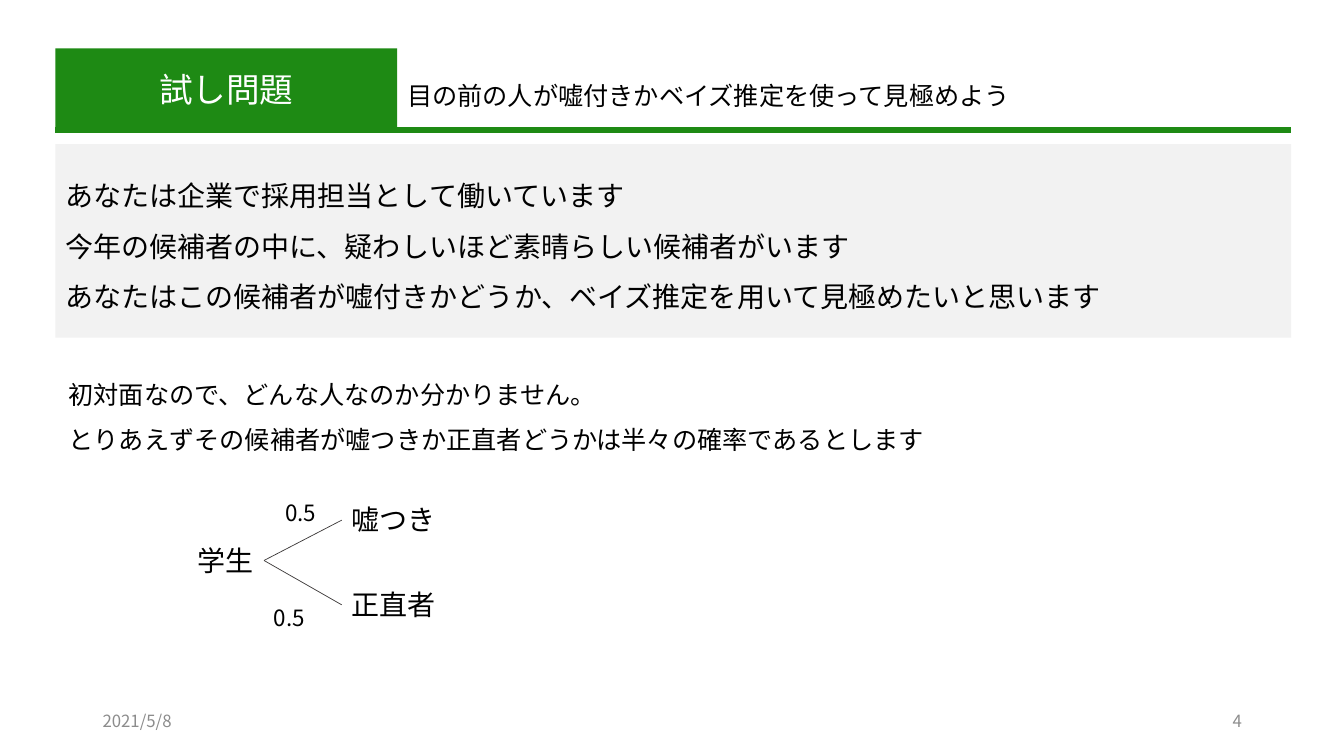
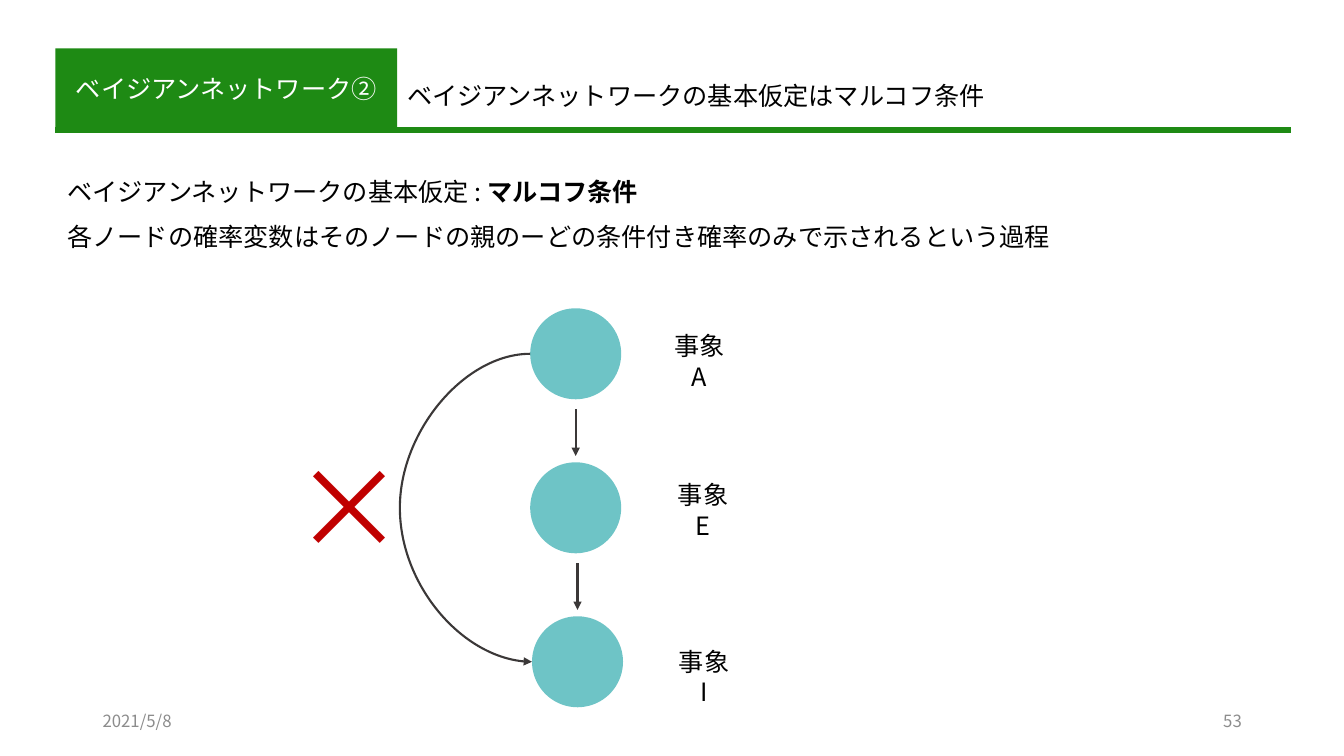
from lxml import etree
from pptx import Presentation
from pptx.dml.color import RGBColor
from pptx.enum.shapes import MSO_CONNECTOR, MSO_SHAPE
from pptx.enum.text import MSO_ANCHOR, MSO_AUTO_SIZE, PP_ALIGN
from pptx.oxml.ns import qn
from pptx.util import Pt

STRAIGHT, CURVE = MSO_CONNECTOR.STRAIGHT, MSO_CONNECTOR.CURVE
RECT, OVAL = MSO_SHAPE.RECTANGLE, MSO_SHAPE.OVAL
TOP, MIDDLE = MSO_ANCHOR.TOP, MSO_ANCHOR.MIDDLE
LEFT, CENTER, RIGHT = PP_ALIGN.LEFT, PP_ALIGN.CENTER, PP_ALIGN.RIGHT
NO_FIT = MSO_AUTO_SIZE.NONE
SIDE_LEFT, SIDE_RIGHT = 1, 3

FONT = "Noto Sans CJK JP"
GREEN = RGBColor(0x1E, 0x8A, 0x14)
PALE = RGBColor(0xF2, 0xF2, 0xF2)
TEAL = RGBColor(0x00, 0x98, 0x9C)
RED = RGBColor(0xC0, 0x00, 0x00)
DARK = RGBColor(0x3B, 0x38, 0x38)
GRAY = RGBColor(0x8C, 0x8C, 0x8C)
BLACK = RGBColor(0, 0, 0)
WHITE = RGBColor(0xFF, 0xFF, 0xFF)

MARGIN, CONTENT_W = 39.6, 882.7

# Content
DATE = "2021/5/8"
QUIZ = {"title": "試し問題", "title_size": 24, "number": "4",
        "subtitle": "目の前の人が嘘付きかベイズ推定を使って見極めよう"}
NETWORK = {"title": "ベイジアンネットワーク②", "title_size": 18, "number": "53",
           "subtitle": "ベイジアンネットワークの基本仮定はマルコフ条件"}
SITUATION = ["あなたは企業で採用担当として働いています",
             "今年の候補者の中に、疑わしいほど素晴らしい候補者がいます",
             "あなたはこの候補者が嘘付きかどうか、ベイズ推定を用いて見極めたいと思います"]
PRIOR = ["初対面なので、どんな人なのか分かりません。",
         "とりあえずその候補者が嘘つきか正直者どうかは半々の確率であるとします"]
ROOT = "学生"
# outcome, top, probability, probability left and top
BRANCHES = [("嘘つき", 355.7, "0.5", 196.6, 352.8),
            ("正直者", 416.2, "0.5", 188.6, 427.7)]
# A line given as a tuple has its second part in bold
ASSUMPTION = [("ベイジアンネットワークの基本仮定 : ", "マルコフ条件"),
              "各ノードの確率変数はそのノードの親のーどの条件付き確率のみで示されるという過程"]
# name, node left, label centre, label top
EVENTS = [("A", 378.7, 499.7, 232.6),
          ("E", 378.7, 502.2, 339.1),
          ("I", 380, 502.9, 457.9)]


def write(tf, lines, size, color=BLACK, align=LEFT, spacing=1.0,
          anchor=TOP, wrap=True):
    tf.word_wrap = wrap
    tf.auto_size = NO_FIT
    tf.vertical_anchor = anchor
    for i, line in enumerate(lines):
        p = tf.add_paragraph() if i else tf.paragraphs[0]
        if isinstance(line, tuple):
            for part, bold in zip(line, (False, True)):
                r = p.add_run()
                r.text = part
                r.font.bold = bold
        else:
            p.text = line
        p.alignment = align
        p.line_spacing = spacing
        p.font.size = Pt(size)
        p.font.name = FONT
        p.font.color.rgb = color
        ea = etree.Element(qn("a:ea"), typeface=FONT)
        p._p.find(".//" + qn("a:latin")).addnext(ea)


def add_text(s, x, y, w, h, lines, size, **style):
    sp = s.shapes.add_textbox(Pt(x), Pt(y), Pt(w), Pt(h))
    write(sp.text_frame, lines, size, **style)
    return sp


def add_shape(s, kind, x, y, w, h, color):
    sp = s.shapes.add_shape(kind, Pt(x), Pt(y), Pt(w), Pt(h))
    sp.shadow.inherit = False
    sp.fill.solid()
    sp.fill.fore_color.rgb = color
    sp.line.fill.background()
    return sp


def add_line(s, x1, y1, x2, y2, color, width, kind=STRAIGHT, arrow=False):
    line = s.shapes.add_connector(kind, Pt(x1), Pt(y1), Pt(x2), Pt(y2))
    line.line.color.rgb = color
    line.line.width = Pt(width)
    if arrow:
        ln = line._element.spPr.find(qn("a:ln"))
        etree.SubElement(ln, qn("a:tailEnd"), type="triangle")
    etree.SubElement(line._element.spPr, qn("a:effectLst"))
    return line


def add_slide(prs, head):
    """Slide with the green title band, subtitle, rule and footer."""
    s = prs.slides.add_slide(prs.slide_layouts[5])
    title = s.shapes.title
    title.left, title.top = Pt(MARGIN), Pt(34.6)
    title.width, title.height = Pt(244.1), Pt(57.6)
    title.fill.solid()
    title.fill.fore_color.rgb = GREEN
    write(title.text_frame, [head["title"]], head["title_size"], color=WHITE,
          align=CENTER, anchor=MIDDLE)
    add_line(s, MARGIN, 92.9, MARGIN + CONTENT_W, 92.9, GREEN, 4.5)
    add_text(s, 283.7, 54, 600, 29, [head["subtitle"]], 18)
    for x, text, align in ((66.2, DATE, LEFT), (678.2, head["number"], RIGHT)):
        add_text(s, x, 500.4, 216, 28.8, [text], 12, color=GRAY, align=align,
                 anchor=MIDDLE)
    return s


def build_quiz(prs):
    s = add_slide(prs, QUIZ)
    add_shape(s, RECT, MARGIN, 103, CONTENT_W, 138.2, PALE)
    add_text(s, MARGIN, 112.3, CONTENT_W, 111.6, SITUATION, 20, spacing=1.5)
    add_text(s, 41.8, 256.3, 800, 68.4, PRIOR, 18, spacing=1.5)

    # Probability tree
    root = add_text(s, 133.9, 384.5, 54.7, 31.7, [ROOT], 20, wrap=False)
    for outcome, y, chance, chance_x, chance_y in BRANCHES:
        leaf = add_text(s, 244.1, y, 74.9, 31.7, [outcome], 20, wrap=False)
        branch = add_line(s, 188.6, 400, 244.1, y, DARK, 0.5)
        branch.begin_connect(root, SIDE_RIGHT)
        branch.end_connect(leaf, SIDE_LEFT)
        add_text(s, chance_x, chance_y, 39.6, 26.6, [chance], 16, wrap=False)


def build_network(prs):
    s = add_slide(prs, NETWORK)
    add_text(s, 41, 111.6, CONTENT_W, 68.4, ASSUMPTION, 18, spacing=1.5)

    # Chain of events
    size, first_y, pitch, label_w = 65, 220.2, 110, 80
    for i, (name, x, label_x, label_y) in enumerate(EVENTS):
        y = first_y + i * pitch
        node = add_shape(s, OVAL, x, y, size, size, TEAL)
        color = node._element.spPr.find(".//" + qn("a:srgbClr"))
        etree.SubElement(color, qn("a:alpha"), val="57000")
        add_text(s, label_x - label_w / 2, label_y, label_w, 54,
                 [f"事象\v{name}"], 18, align=CENTER)
        if i:
            mid = x + size / 2
            add_line(s, mid, y - pitch + size + 7, mid, y - 4.5, DARK, 1.5,
                     arrow=True)

    # Ruled-out shortcut from the first event to the last
    x1, x2 = EVENTS[0][1], EVENTS[-1][1]
    y1 = first_y + size / 2
    y2 = y1 + pitch * (len(EVENTS) - 1)
    bulge = 92.8
    arc = add_line(s, x1, y1, x2, y2, DARK, 1.5, kind=CURVE, arrow=True)
    guides = arc._element.spPr.find(qn("a:prstGeom")).get_or_add_avLst()
    ratio = round(-bulge / (x2 - x1) * 100000)
    etree.SubElement(guides, qn("a:gd"), name="adj1", fmla=f"val {ratio}")
    add_text(s, 202.3, 308.9, 95, 104.4, ["×"], 80, color=RED, wrap=False)


def main():
    prs = Presentation()
    prs.slide_width, prs.slide_height = Pt(960), Pt(540)
    build_quiz(prs)
    build_network(prs)
    prs.save("out.pptx")


if __name__ == "__main__":
    main()
